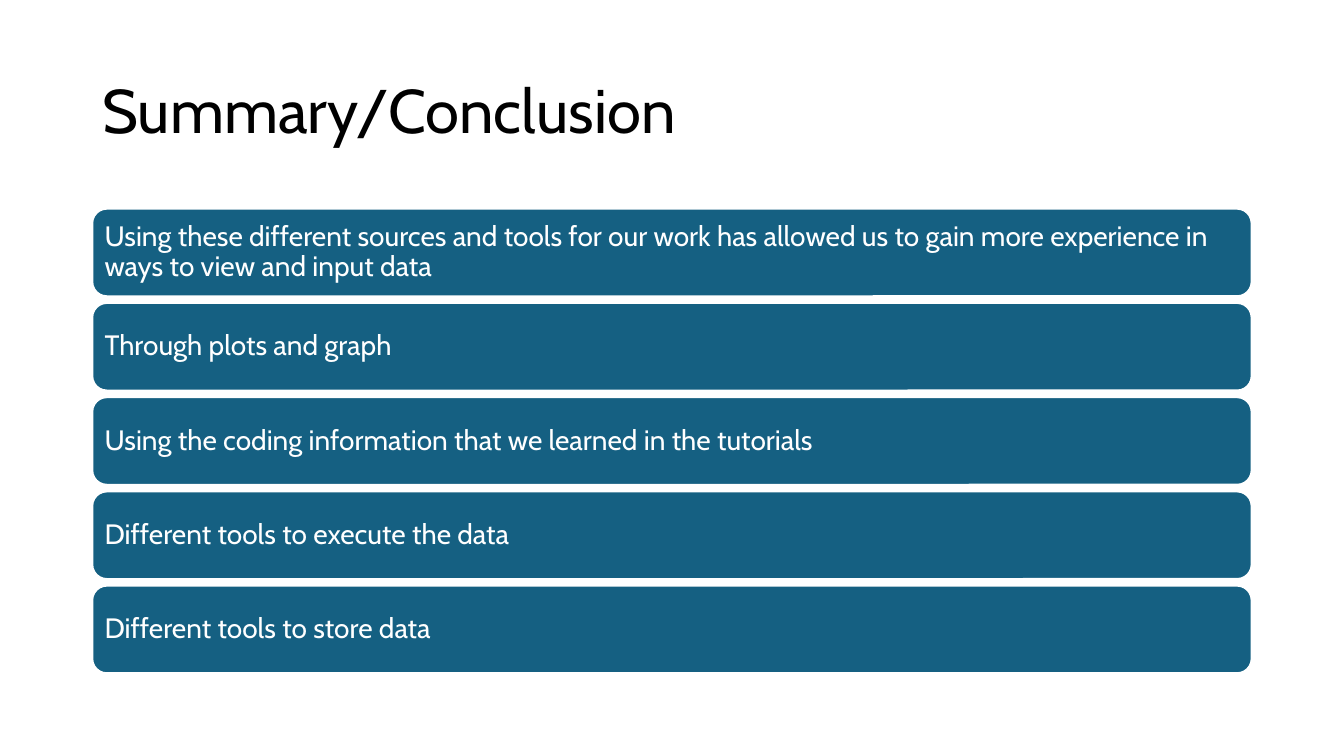
from pptx import Presentation
from pptx.dml.color import RGBColor
from pptx.enum.shapes import MSO_SHAPE
from pptx.enum.text import MSO_ANCHOR, PP_ALIGN
from pptx.util import Inches, Pt

# Content
TITLE = "Summary/Conclusion"
POINTS = [
    "Using these different sources and tools for our work has allowed us "
    "to gain more experience in ways to view and input data",
    "Through plots and graph",
    "Using the coding information that we learned in the tutorials",
    "Different tools to execute the data",
    "Different tools to store data",
]

# Style
FONT = "Cabin"
BLACK = RGBColor(0x00, 0x00, 0x00)
WHITE = RGBColor(0xFF, 0xFF, 0xFF)
TEAL = RGBColor(0x15, 0x60, 0x82)

# Layout in inches
SLIDE_WIDTH, SLIDE_HEIGHT = 13.33, 7.5
CONTENT_WIDTH = 11.5
LEFT = (SLIDE_WIDTH - CONTENT_WIDTH) / 2
TITLE_TOP, TITLE_HEIGHT = 0.4, 1.45
BARS_TOP, BAR_HEIGHT, BAR_PITCH = 2.07, 0.87, 0.935
BAR_INSET = 0.08


def write_text(shape, text, size, color):
    frame = shape.text_frame
    frame.word_wrap = True
    frame.vertical_anchor = MSO_ANCHOR.MIDDLE
    paragraph = frame.paragraphs[0]
    paragraph.alignment = PP_ALIGN.LEFT
    paragraph.line_spacing = 0.9
    run = paragraph.add_run()
    run.text = text
    for name, value in {"name": FONT, "size": Pt(size)}.items():
        setattr(run.font, name, value)
    run.font.color.rgb = color


def add_bar(slide, row, text):
    bar = slide.shapes.add_shape(
        MSO_SHAPE.ROUNDED_RECTANGLE,
        Inches(LEFT), Inches(BARS_TOP + row * BAR_PITCH),
        Inches(CONTENT_WIDTH), Inches(BAR_HEIGHT))
    bar.shadow.inherit = False
    bar.fill.solid()
    bar.fill.fore_color.rgb = TEAL
    bar.line.color.rgb = WHITE
    bar.line.width = Pt(1.5)
    for side in ("left", "top", "right", "bottom"):
        setattr(bar.text_frame, f"margin_{side}", Inches(BAR_INSET))
    write_text(bar, text, 20, WHITE)


def main():
    presentation = Presentation()
    presentation.slide_width = Inches(SLIDE_WIDTH)
    presentation.slide_height = Inches(SLIDE_HEIGHT)
    slide = presentation.slides.add_slide(presentation.slide_layouts[6])

    # Title
    title = slide.shapes.add_textbox(
        Inches(LEFT), Inches(TITLE_TOP),
        Inches(CONTENT_WIDTH), Inches(TITLE_HEIGHT))
    write_text(title, TITLE, 44, BLACK)

    # Stacked summary bars
    for row, text in enumerate(POINTS):
        add_bar(slide, row, text)

    presentation.save("out.pptx")


if __name__ == "__main__":
    main()
